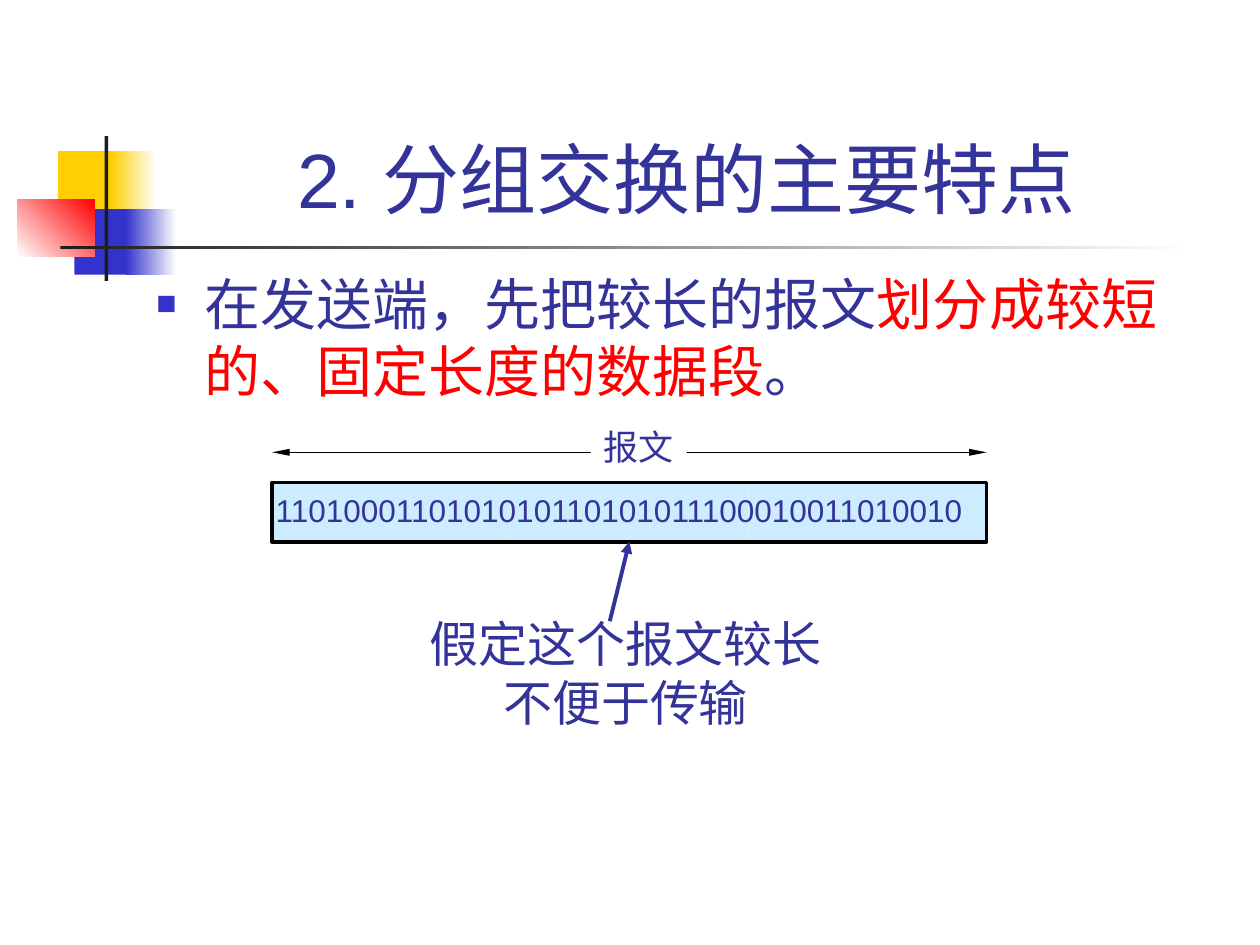
from lxml.etree import SubElement
from pptx import Presentation
from pptx.dml.color import RGBColor
from pptx.enum.shapes import MSO_CONNECTOR, MSO_SHAPE
from pptx.enum.text import MSO_ANCHOR, MSO_AUTO_SIZE, PP_ALIGN
from pptx.oxml.ns import qn
from pptx.util import Inches, Pt

WHITE = RGBColor(0xFF, 0xFF, 0xFF)
BLACK = RGBColor(0x00, 0x00, 0x00)
CHARCOAL = RGBColor(0x1C, 0x1C, 0x1C)
YELLOW = RGBColor(0xFF, 0xCF, 0x01)
BLUE = RGBColor(0x33, 0x33, 0xCC)
NAVY = RGBColor(0x33, 0x33, 0x99)
RED = RGBColor(0xFF, 0x00, 0x00)
PALE_BLUE = RGBColor(0xCC, 0xEC, 0xFF)

deck = Presentation()
deck.slide_width, deck.slide_height = Inches(10), Inches(7.5)
page = deck.slides.add_slide(deck.slide_layouts[1])
title, body = page.placeholders


def add_rectangle(place, start=None, end=None, angle=0):
    """Add a borderless rectangle: one colour, a gradient from start to end, or no fill."""
    box = page.shapes.add_shape(MSO_SHAPE.RECTANGLE, *map(Inches, place))
    box.shadow.inherit = False
    box.line.fill.background()
    if end is not None:
        box.fill.gradient()
        box.fill.gradient_angle = angle
        for stop, color in zip(box.fill.gradient_stops, (start, end)):
            stop.color.rgb = color
    elif start is not None:
        box.fill.solid()
        box.fill.fore_color.rgb = start
    else:
        box.fill.background()
    return box


def add_arrow(start, end, color, weight, heads):
    """Add a line; heads maps headEnd or tailEnd to its (width, length)."""
    points = map(Inches, (*start, *end))
    arrow = page.shapes.add_connector(MSO_CONNECTOR.STRAIGHT, *points)
    arrow.line.color.rgb = color
    arrow.line.width = Pt(weight)
    line = arrow.line._get_or_add_ln()
    for name, (width, length) in heads.items():
        SubElement(line, qn(f"a:{name}"), type="triangle", w=width, len=length)
    SubElement(arrow._element.spPr, qn("a:effectLst"))
    return arrow


# Corner ornament and rule under the title
for ornament in (
    ((0.46, 1.2, 0.48, 0.52), YELLOW),
    ((0.88, 1.2, 0.36, 0.52), YELLOW, WHITE),
    ((0.59, 1.66, 0.46, 0.52), BLUE),
    ((1, 1.66, 0.4, 0.52), BLUE, WHITE),
    ((0.14, 1.58, 0.61, 0.46), WHITE, RED, 45),
    ((0.83, 1.08, 0.03, 1.15), CHARCOAL),
    ((0.48, 1.95, 9, 0.03), CHARCOAL, WHITE),
):
    add_rectangle(*ornament)

# Message bar of three equal parts in one frame
bar_left, bar_top, bar_height, part_width = 2.16, 3.83, 0.47, 1.89
bar_width = 3 * part_width
for part in range(3):
    add_rectangle((bar_left + part * part_width, bar_top, part_width, bar_height), PALE_BLUE)
frame = add_rectangle((bar_left, bar_top, bar_width, bar_height))
frame.line.color.rgb = BLACK
frame.line.width = Pt(2.25)

# Length arrow, with its label on top
slim = ("sm", "lg")
add_arrow((bar_left, 3.59), (bar_left + bar_width, 3.59), BLACK, 0.75,
          {"headEnd": slim, "tailEnd": slim})
label = add_rectangle((4.69, 3.33, 0.76, 0.43), WHITE)
bits = page.shapes.add_textbox(*map(Inches, (2.09, 3.85, 5.76, 0.4)))
caption = page.shapes.add_textbox(*map(Inches, (3.31, 4.82, 3.31, 1.03)))
pointer = add_arrow((4.84, 4.93), (5, 4.3), NAVY, 2.25, {"tailEnd": ("med", "med")})
pointer.end_connect(frame, 2)

for holder, place in ((title, (1.26, 0.23, 8.52, 1.6)), (body, (1.14, 2.09, 8.5, 4.5))):
    holder.left, holder.top, holder.width, holder.height = map(Inches, place)

# All wording: box, paragraphs of (text, colour) spans, font, size, alignment, anchor, wrap
LEFT, CENTER = PP_ALIGN.LEFT, PP_ALIGN.CENTER
TOP, BOTTOM = MSO_ANCHOR.TOP, MSO_ANCHOR.BOTTOM
for box, paragraphs, font, size, alignment, anchor, wrap in (
    (title, [[("2. 分组交换的主要特点 ", NAVY)]], "Arial", 44, CENTER, BOTTOM, True),
    (body, [[("在发送端，先把较长的报文", NAVY),
             ("划分成较短的、固定长度的数据段", RED),
             ("。", NAVY)]], "Arial", 32, LEFT, TOP, True),
    (label, [[("报文", NAVY)]], "Times New Roman", 20, LEFT, TOP, False),
    (bits, [[("1101000110101010110101011100010011010010", NAVY)]],
     "Arial", 18, LEFT, TOP, False),
    (caption, [[("假定这个报文较长", NAVY)], [("不便于传输", NAVY)]],
     "Cabin", 28, CENTER, TOP, False),
):
    frame_format = {"word_wrap": wrap, "vertical_anchor": anchor,
                    "auto_size": MSO_AUTO_SIZE.NONE}
    for name, value in frame_format.items():
        setattr(box.text_frame, name, value)
    for index, spans in enumerate(paragraphs):
        para = box.text_frame.add_paragraph() if index else box.text_frame.paragraphs[0]
        para.alignment = alignment
        for text, color in spans:
            span = para.add_run()
            span.text = text
            for name, value in {"name": font, "size": Pt(size), "bold": False}.items():
                setattr(span.font, name, value)
            span.font.color.rgb = color

# Square bullet with a hanging indent
properties = body.text_frame.paragraphs[0]._p.get_or_add_pPr()
properties.set("marL", str(Inches(0.38)))
properties.set("indent", str(Inches(-0.38)))
SubElement(SubElement(properties, qn("a:buClr")), qn("a:srgbClr"), val=str(BLUE))
SubElement(properties, qn("a:buSzPct"), val="60000")
SubElement(properties, qn("a:buFont"), typeface="Arial")
SubElement(properties, qn("a:buChar"), char="■")

deck.save("out.pptx")
